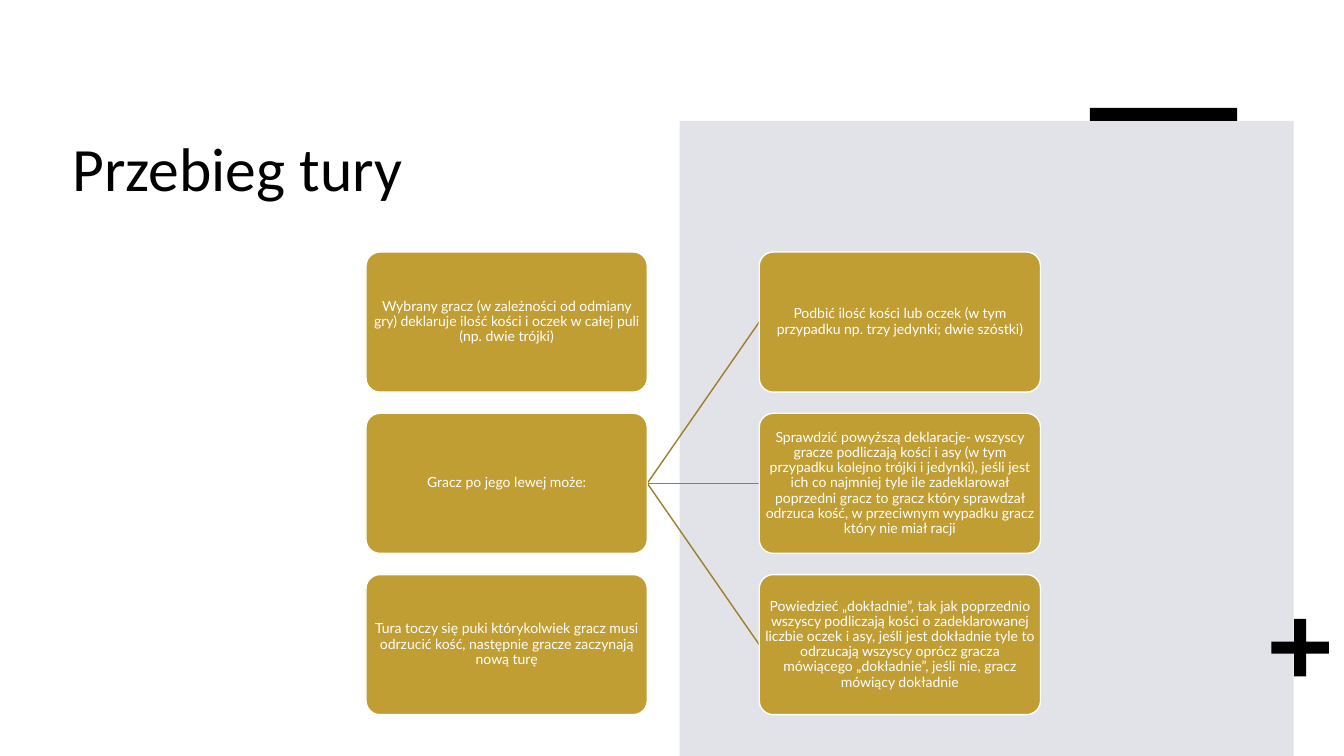
from dataclasses import dataclass

from lxml.etree import SubElement
from pptx import Presentation
from pptx.dml.color import RGBColor
from pptx.enum.shapes import MSO_CONNECTOR, MSO_SHAPE
from pptx.enum.text import MSO_ANCHOR, PP_ALIGN
from pptx.oxml.ns import qn
from pptx.util import Inches, Pt


@dataclass(frozen=True)
class Theme:
    panel: str = "E2E3E8"
    accent: str = "C19E34"
    link: str = "9B7F2A"
    dark: str = "000000"
    light: str = "FFFFFF"
    title_font: str = "Calibri"
    body_font: str = "Lato"
    title_size: float = 44
    body_size: float = 10


@dataclass(frozen=True)
class Card:
    col: int
    row: int
    text: str

    @property
    def left(self) -> float:
        return 3.63 + self.col * 3.9

    @property
    def top(self) -> float:
        return 2.5 + self.row * 1.6

    @property
    def middle(self) -> float:
        return self.top + CARD_H / 2


THEME = Theme()
CARD_W, CARD_H = 2.79, 1.39

STEPS = [
    Card(0, 0, "Wybrany gracz (w zależności od odmiany gry) deklaruje ilość "
               "kości i oczek w całej puli (np. dwie trójki)"),
    Card(0, 1, "Gracz po jego lewej może:"),
    Card(0, 2, "Tura toczy się puki którykolwiek gracz musi odrzucić kość, "
               "następnie gracze zaczynają nową turę"),
]
OPTIONS = [
    Card(1, 0, "Podbić ilość kości lub oczek (w tym przypadku np. trzy "
               "jedynki; dwie szóstki)"),
    Card(1, 1, "Sprawdzić powyższą deklaracje- wszyscy gracze podliczają kości "
               "i asy (w tym przypadku kolejno trójki i jedynki), jeśli jest "
               "ich co najmniej tyle ile zadeklarował poprzedni gracz to gracz "
               "który sprawdzał odrzuca kość, w przeciwnym wypadku gracz który "
               "nie miał racji"),
    Card(1, 2, "Powiedzieć „dokładnie”, tak jak poprzednio wszyscy podliczają "
               "kości o zadeklarowanej liczbie oczek i asy, jeśli jest "
               "dokładnie tyle to odrzucają wszyscy oprócz gracza mówiącego "
               "„dokładnie”, jeśli nie, gracz mówiący dokładnie"),
]


def write(shape, text: str, *, font: str, size: float, color: str,
          align=PP_ALIGN.LEFT, anchor=MSO_ANCHOR.TOP, inset=None,
          after: float = 0) -> None:
    tf = shape.text_frame
    tf.word_wrap = True
    tf.vertical_anchor = anchor
    if inset is not None:
        tf.margin_left = tf.margin_right = Inches(inset)
        tf.margin_top = tf.margin_bottom = Inches(inset)
    p = tf.paragraphs[0]
    p.alignment = align
    p.line_spacing = 0.9
    p.space_after = Pt(after)
    r = p.add_run()
    r.text = text
    r.font.name = font
    r.font.size = Pt(size)
    r.font.color.rgb = RGBColor.from_string(color)


def add_box(s, kind, left: float, top: float, width: float, height: float,
            fill: str, line: str | None = None, adj: float | None = None):
    sp = s.shapes.add_shape(kind, Inches(left), Inches(top),
                            Inches(width), Inches(height))
    sp.shadow.inherit = False
    sp.fill.solid()
    sp.fill.fore_color.rgb = RGBColor.from_string(fill)
    if line:
        sp.line.color.rgb = RGBColor.from_string(line)
        sp.line.width = Pt(1)
    else:
        sp.line.fill.background()
    if adj is not None:
        sp.adjustments[0] = adj
    return sp


def add_card(s, card: Card) -> None:
    sp = add_box(s, MSO_SHAPE.ROUNDED_RECTANGLE, card.left, card.top,
                 CARD_W, CARD_H, THEME.accent, THEME.light, 0.1)
    write(sp, card.text, font=THEME.body_font, size=THEME.body_size,
          color=THEME.light, align=PP_ALIGN.CENTER, anchor=MSO_ANCHOR.MIDDLE,
          inset=0.01, after=3.5)


def add_link(s, start: Card, end: Card) -> None:
    link = s.shapes.add_connector(
        MSO_CONNECTOR.STRAIGHT, Inches(start.left + CARD_W),
        Inches(start.middle), Inches(end.left), Inches(end.middle))
    link.line.color.rgb = RGBColor.from_string(THEME.link)
    link.line.width = Pt(1)
    SubElement(link._element.spPr, qn("a:effectLst"))


def main() -> None:
    prs = Presentation()
    prs.slide_width, prs.slide_height = Inches(13.33), Inches(7.5)
    s = prs.slides.add_slide(prs.slide_layouts[5])

    # Background decoration
    add_box(s, MSO_SHAPE.RECTANGLE, 6.74, 1.2, 6.09, 6.3, THEME.panel)
    add_box(s, MSO_SHAPE.CROSS, 12.61, 6.14, 0.57, 0.57, THEME.dark, adj=0.395)
    add_box(s, MSO_SHAPE.RECTANGLE, 10.81, 1.07, 1.46, 0.13, THEME.dark)

    # Title, raised above the panel
    title = s.shapes.title
    title.left, title.top = Inches(0.62), Inches(1.32)
    title.width, title.height = Inches(9.04), Inches(1.58)
    write(title, "Przebieg tury", font=THEME.title_font,
          size=THEME.title_size, color=THEME.dark)
    s.shapes._spTree.append(title._element)

    # Turn steps and the options of the second step
    for option in OPTIONS:
        add_link(s, STEPS[1], option)
    for card in STEPS + OPTIONS:
        add_card(s, card)

    prs.save("out.pptx")


if __name__ == "__main__":
    main()
